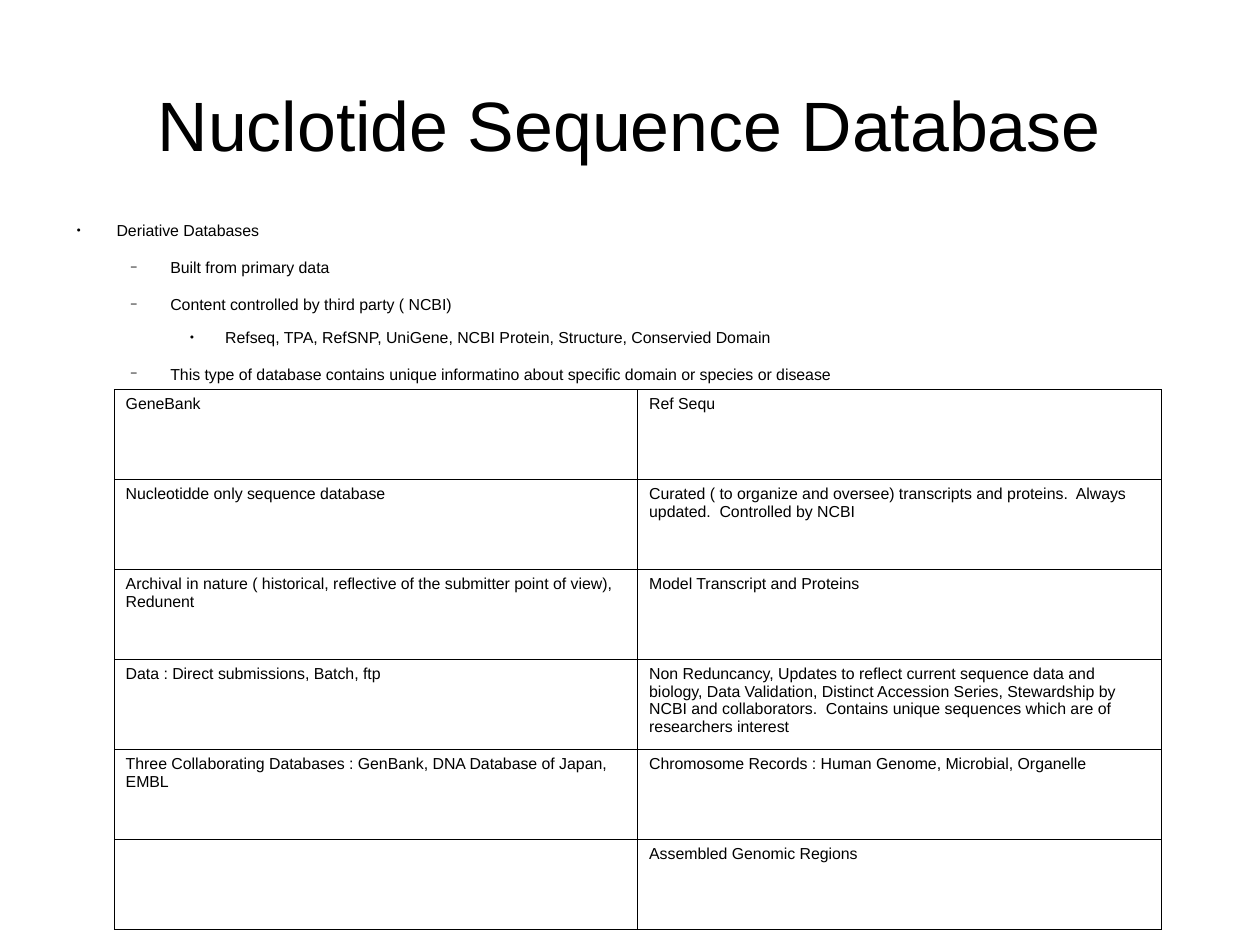
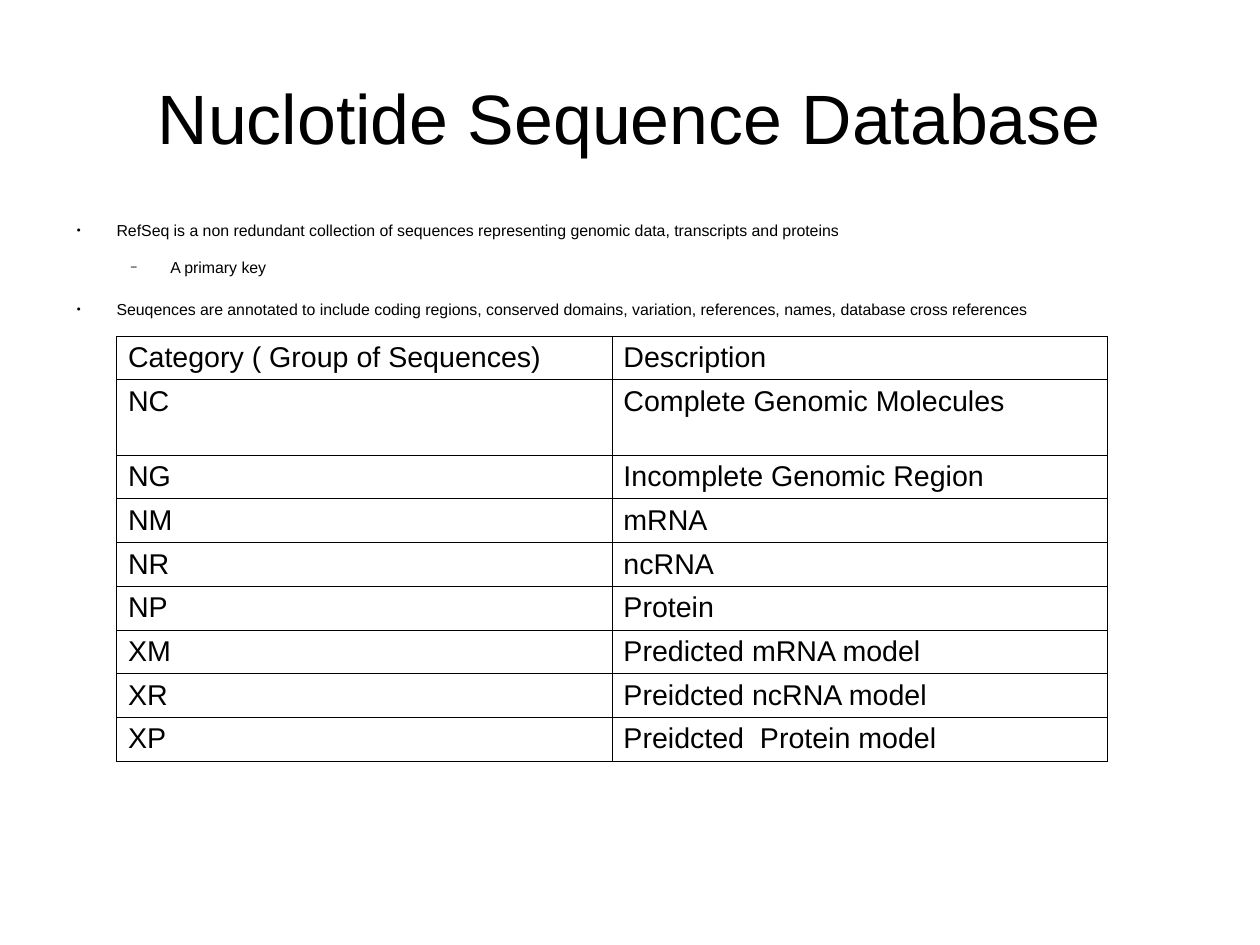
from lxml.etree import SubElement
from pptx import Presentation
from pptx.dml.color import RGBColor
from pptx.enum.text import MSO_ANCHOR, PP_ALIGN
from pptx.oxml.ns import qn
from pptx.util import Cm, Inches, Pt

COLORS = {"background": "FFFFFF", "text": "000000", "border": "000000"}
FONT = "Arial"
TITLE = "Nuclotide Sequence Database"
TITLE_SIZE = 44
BODY_SIZE = 10
BORDER_WIDTH = 0.57

LEVELS = [
    {"indent": 0.47, "hanging": 0.35, "before": 14.2, "bullet": "●", "percent": 45},
    {"indent": 0.94, "hanging": 0.35, "before": 11.3, "bullet": "−", "percent": 75},
    {"indent": 1.42, "hanging": 0.31, "before": 8.5, "bullet": "●", "percent": 45},
]

SLIDES = [
    {
        "title_top": 0.39,
        "body_height": 6.1,
        "bullets": [
            (0, "Deriative Databases"),
            (1, "Built from primary data"),
            (1, "Content controlled by third party ( NCBI)"),
            (2, "Refseq, TPA, RefSNP, UniGene, NCBI Protein, Structure, Conservied Domain"),
            (1, "This type of database contains unique informatino about specific domain or species or disease"),
        ],
        "table": {
            "left": 1, "top": 3.41, "width": 9.16, "height": 4.72, "tall_rows": {}, "size": 10,
            "rows": [
                ("GeneBank", "Ref Sequ"),
                ("Nucleotidde only sequence database",
                 "Curated ( to organize and oversee) transcripts and proteins.  Always updated.  "
                 "Controlled by NCBI"),
                ("Archival in nature ( historical, reflective of the submitter point of view), Redunent",
                 "Model Transcript and Proteins"),
                ("Data : Direct submissions, Batch, ftp",
                 "Non Reduncancy, Updates to reflect current sequence data and biology, Data Validation, "
                 "Distinct Accession Series, Stewardship by NCBI and collaborators.  "
                 "Contains unique sequences which are of researchers interest"),
                ("Three Collaborating Databases : GenBank, DNA Database of Japan, EMBL",
                 "Chromosome Records : Human Genome, Microbial, Organelle"),
                ("", "Assembled Genomic Regions"),
            ],
        },
    },
    {
        "title_top": 0.33,
        "body_height": 6.25,
        "bullets": [
            (0, "RefSeq is a non redundant collection of sequences representing genomic data, "
                "transcripts and proteins"),
            (1, "A primary key"),
            (0, "Seuqences are annotated to include coding regions, conserved domains, variation, "
                "references, names, database cross references"),
        ],
        "table": {
            "left": 1.02, "top": 2.94, "width": 8.67, "height": 3.72, "tall_rows": {1: 0.66}, "size": 18,
            "rows": [
                ("Category ( Group of Sequences)", "Description"),
                ("NC", "Complete Genomic Molecules"),
                ("NG", "Incomplete Genomic Region"),
                ("NM", "mRNA"),
                ("NR", "ncRNA"),
                ("NP", "Protein"),
                ("XM", "Predicted mRNA model"),
                ("XR", "Preidcted ncRNA model"),
                ("XP", "Preidcted  Protein model"),
            ],
        },
    },
]


def color(name):
    return RGBColor.from_string(COLORS[name])


def write(para, text, size):
    para.text = text
    for span in para.runs:
        span.font.name = FONT
        span.font.size = Pt(size)
        span.font.color.rgb = color("text")


def add_box(page, top, height):
    box = page.shapes.add_textbox(Inches(0.55), Inches(top), Inches(9.92), Inches(height))
    frame = box.text_frame
    frame.word_wrap = True
    frame.margin_left = frame.margin_top = frame.margin_right = frame.margin_bottom = 0
    return frame


def add_title(page, top):
    frame = add_box(page, top, 1.38)
    frame.vertical_anchor = MSO_ANCHOR.MIDDLE
    para = frame.paragraphs[0]
    para.alignment = PP_ALIGN.CENTER
    write(para, TITLE, TITLE_SIZE)


def set_bullet(para, level):
    properties = para._p.get_or_add_pPr()
    properties.set("marL", str(Inches(level["indent"])))
    properties.set("indent", str(-Inches(level["hanging"])))
    bullet_color = SubElement(properties, qn("a:buClr"))
    SubElement(bullet_color, qn("a:srgbClr"), val=COLORS["text"])
    SubElement(properties, qn("a:buSzPct"), val=str(level["percent"] * 1000))
    SubElement(properties, qn("a:buFont"), typeface=FONT)
    SubElement(properties, qn("a:buChar"), char=level["bullet"])


def add_bullets(page, bullets, height):
    frame = add_box(page, 1.93, height)
    for index, (depth, text) in enumerate(bullets):
        para = frame.add_paragraph() if index else frame.paragraphs[0]
        level = LEVELS[depth]
        para.level = depth
        set_bullet(para, level)
        para.space_before = Pt(level["before"] if index else 0)
        write(para, text, BODY_SIZE)


def set_borders(cell):
    properties = cell._tc.get_or_add_tcPr()
    for side in ("a:lnL", "a:lnR", "a:lnT", "a:lnB"):
        line = SubElement(properties, qn(side), w=str(Pt(BORDER_WIDTH)))
        fill = SubElement(line, qn("a:solidFill"))
        SubElement(fill, qn("a:srgbClr"), val=COLORS["border"])


def add_grid(page, grid):
    rows, tall_rows = grid["rows"], grid["tall_rows"]
    columns = len(rows[0])
    row_height = (grid["height"] - sum(tall_rows.values())) / (len(rows) - len(tall_rows))
    table = page.shapes.add_table(
        len(rows), columns, Inches(grid["left"]), Inches(grid["top"]),
        Inches(grid["width"]), Inches(grid["height"])).table
    table.first_row = table.horz_banding = False
    for column in table.columns:
        column.width = Inches(grid["width"] / columns)
    for index, (row, texts) in enumerate(zip(table.rows, rows)):
        row.height = Inches(tall_rows.get(index, row_height))
        for cell, text in zip(row.cells, texts):
            set_borders(cell)
            cell.fill.background()
            cell.margin_bottom = Inches(0.03)
            write(cell.text_frame.paragraphs[0], text, grid["size"])


def main():
    deck = Presentation()
    deck.slide_width, deck.slide_height = Cm(28), Cm(21)
    background = deck.slide_master.background.fill
    background.solid()
    background.fore_color.rgb = color("background")
    for content in SLIDES:
        page = deck.slides.add_slide(deck.slide_layouts[6])
        add_title(page, content["title_top"])
        add_bullets(page, content["bullets"], content["body_height"])
        add_grid(page, content["table"])
    deck.save("out.pptx")


if __name__ == "__main__":
    main()
